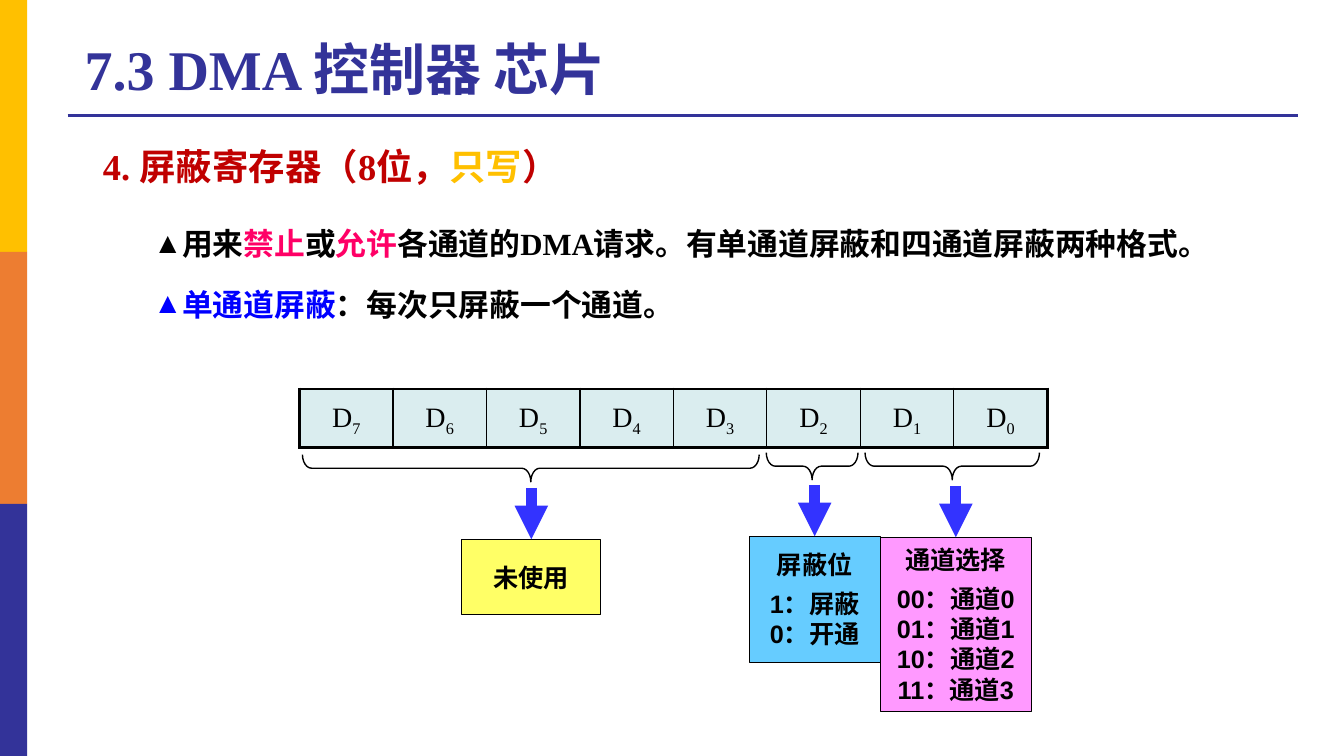
"""Build the slide on the mask register of the DMA controller chip."""
from lxml.etree import SubElement
from pptx import Presentation
from pptx.dml.color import RGBColor
from pptx.enum.shapes import MSO_CONNECTOR, MSO_SHAPE
from pptx.enum.text import MSO_ANCHOR, MSO_AUTO_SIZE, PP_ALIGN
from pptx.oxml.ns import qn
from pptx.util import Inches, Pt

NAVY, BLACK, PINK = "333399", "000000", "FF0066"


def color(value):
    return RGBColor.from_string(value)


class SlideBuilder:
    serif = "Times New Roman"
    sans = "Arial"
    arrow_color = "3333FF"
    cell_color = "DAEDEF"

    def __init__(self, presentation):
        self.slide = presentation.slides.add_slide(presentation.slide_layouts[1])
        self.shapes = self.slide.shapes

    def run(self, paragraph, text, size, font, ink=BLACK, bold=True):
        run = paragraph.add_run()
        run.text = text
        run.font.size = Pt(size)
        run.font.name = font
        run.font.bold = bold
        run.font.color.rgb = color(ink)
        return run

    def placeholder(self, shape, left, top, width, height, anchor):
        shape.left, shape.top = Inches(left), Inches(top)
        shape.width, shape.height = Inches(width), Inches(height)
        frame = shape.text_frame
        frame.word_wrap = True
        frame.auto_size = MSO_AUTO_SIZE.NONE
        frame.vertical_anchor = anchor
        return frame

    def title(self, text):
        frame = self.placeholder(self.shapes.title, 0.74, 0.28, 9.77, 0.87, MSO_ANCHOR.MIDDLE)
        paragraph = frame.paragraphs[0]
        paragraph.alignment = PP_ALIGN.LEFT
        paragraph.line_spacing = 0.9
        self.run(paragraph, text, 40, self.serif, NAVY)

    def body(self, heading, points):
        frame = self.placeholder(self.slide.placeholders[1], 0.92, 1.43, 11.26, 2.08, MSO_ANCHOR.TOP)
        self.body_paragraph(frame.paragraphs[0], heading, 26, 0.9, 18)
        for point in points:
            self.body_paragraph(frame.add_paragraph(), point, 22, 1.3, 9, "▲")

    def body_paragraph(self, paragraph, pieces, size, line_spacing, space_after, bullet=None):
        paragraph.level = 1 if bullet else 0
        properties = paragraph._p.get_or_add_pPr()
        properties.set("marL", str(Inches(0.75 if bullet else 0.25)))
        properties.set("indent", str(Inches(-0.25)))
        if bullet:
            SubElement(properties, qn("a:buSzPct")).set("val", "95000")
            SubElement(properties, qn("a:buChar")).set("char", bullet)
        else:
            SubElement(properties, qn("a:buNone"))
        paragraph.line_spacing = line_spacing
        paragraph.space_before = Pt(0)
        paragraph.space_after = Pt(space_after)
        for text, ink in pieces:
            self.run(paragraph, text, size, self.serif, ink)

    def shape(self, kind, left, top, width, height, fill=None, line_width=None):
        shape = self.shapes.add_shape(kind, Inches(left), Inches(top), Inches(width), Inches(height))
        shape.shadow.inherit = False
        if fill:
            shape.fill.solid()
            shape.fill.fore_color.rgb = color(fill)
        else:
            shape.fill.background()
        if line_width:
            shape.line.color.rgb = color(BLACK)
            shape.line.width = Pt(line_width)
        else:
            shape.line.fill.background()
        return shape

    def line(self, start, end, ink, width):
        line = self.shapes.add_connector(MSO_CONNECTOR.STRAIGHT, *map(Inches, start + end))
        line.line.color.rgb = color(ink)
        line.line.width = Pt(width)
        SubElement(line._element.spPr, qn("a:effectLst"))
        return line

    def box(self, left, top, width, height, fill, lines):
        box = self.shape(MSO_SHAPE.RECTANGLE, left, top, width, height, fill, 0.75)
        frame = box.text_frame
        frame.margin_left = frame.margin_right = 0
        frame.vertical_anchor = MSO_ANCHOR.MIDDLE
        for index, text in enumerate(lines):
            paragraph = frame.add_paragraph() if index else frame.paragraphs[0]
            paragraph.alignment = PP_ALIGN.CENTER
            if index == 0 and len(lines) > 1:
                paragraph.space_after = Pt(6)
            self.run(paragraph, text, 18, self.sans)
        return box

    def arrow(self, start_top, box):
        center = (box.left + box.width / 2) / Inches(1)
        arrow = self.line((center, start_top), (center, box.top / Inches(1)), self.arrow_color, 8)
        arrow.end_connect(box, 0)
        SubElement(arrow.line._get_or_add_ln(), qn("a:tailEnd")).set("type", "triangle")

    def brace(self, left, top, width):
        """Draw a brace that opens upward over the given span."""
        depth = 0.27
        brace = self.shape(MSO_SHAPE.LEFT_BRACE, left + (width - depth) / 2,
                           top - (width - depth) / 2, depth, width, line_width=1)
        brace.rotation = 270
        brace.adjustments[0] = 0.334
        brace.adjustments[1] = 0.5

    def border(self, cell, side, width):
        line = SubElement(cell._tc.get_or_add_tcPr(), qn(f"a:ln{side}"), w=str(Pt(width)))
        fill = SubElement(line, qn("a:solidFill"))
        SubElement(fill, qn("a:srgbClr")).set("val", BLACK)

    def register(self, left, top, width, height, bits):
        frame = self.shapes.add_table(1, bits, Inches(left), Inches(top), Inches(width), Inches(height))
        table = frame.table
        table.first_row = table.horz_banding = False
        for column, cell in enumerate(table.rows[0].cells):
            table.columns[column].width = Inches(width / bits)
            self.border(cell, "L", 2.25 if column == 0 else 1)
            self.border(cell, "R", 2.25 if column == bits - 1 else 1)
            self.border(cell, "T", 2.25)
            self.border(cell, "B", 2.25)
            cell.fill.solid()
            cell.fill.fore_color.rgb = color(self.cell_color)
            cell.vertical_anchor = MSO_ANCHOR.MIDDLE
            paragraph = cell.text_frame.paragraphs[0]
            paragraph.alignment = PP_ALIGN.CENTER
            paragraph.line_spacing = 1.1
            self.run(paragraph, "D", 20, self.serif, bold=False)
            index = self.run(paragraph, str(bits - 1 - column), 20, self.serif, bold=False)
            index._r.get_or_add_rPr().set("baseline", "-25000")


def main():
    presentation = Presentation()
    presentation.slide_width, presentation.slide_height = Inches(13.33), Inches(7.5)
    builder = SlideBuilder(presentation)

    builder.line((0.67, 1.15), (12.87, 1.15), NAVY, 2.25)
    for index, fill in enumerate(("FFC000", "ED7D31", NAVY)):
        builder.shape(MSO_SHAPE.RECTANGLE, 0, 2.5 * index, 0.27, 2.5, fill)

    builder.title("7.3 DMA 控制器 芯片")
    builder.body(
        [("4. 屏蔽寄存器（8位，", "C00000"), ("只写", "FFC000"), ("）", "C00000")],
        [
            [("用来", BLACK), ("禁止", PINK), ("或", BLACK), ("允许", PINK),
             ("各通道的DMA请求。有单通道屏蔽和四通道屏蔽两种格式。", BLACK)],
            [("单通道屏蔽", "0000FF"), ("：每次只屏蔽一个通道。", BLACK)],
        ])
    builder.register(2.97, 3.86, 7.42, 0.58, 8)

    channels = ["通道选择"] + [f"{number:02b}：通道{number}" for number in range(4)]
    fields = [
        ((3, 4.51, 4.53), 4.84, (4.58, 5.35, 1.38, 0.75), "FFFF66", ["未使用"]),
        ((7.6, 4.49, 0.91), 4.81, (7.43, 5.32, 1.3, 1.25), "66CCFF", ["屏蔽位", "1：屏蔽", "0：开通"]),
        ((8.58, 4.49, 1.73), 4.82, (8.73, 5.33, 1.5, 1.73), "FF99FF", channels),
    ]
    for brace, arrow_top, place, fill, lines in fields:
        builder.brace(*brace)
        builder.arrow(arrow_top, builder.box(*place, fill, lines))

    presentation.save("out.pptx")


if __name__ == "__main__":
    main()
